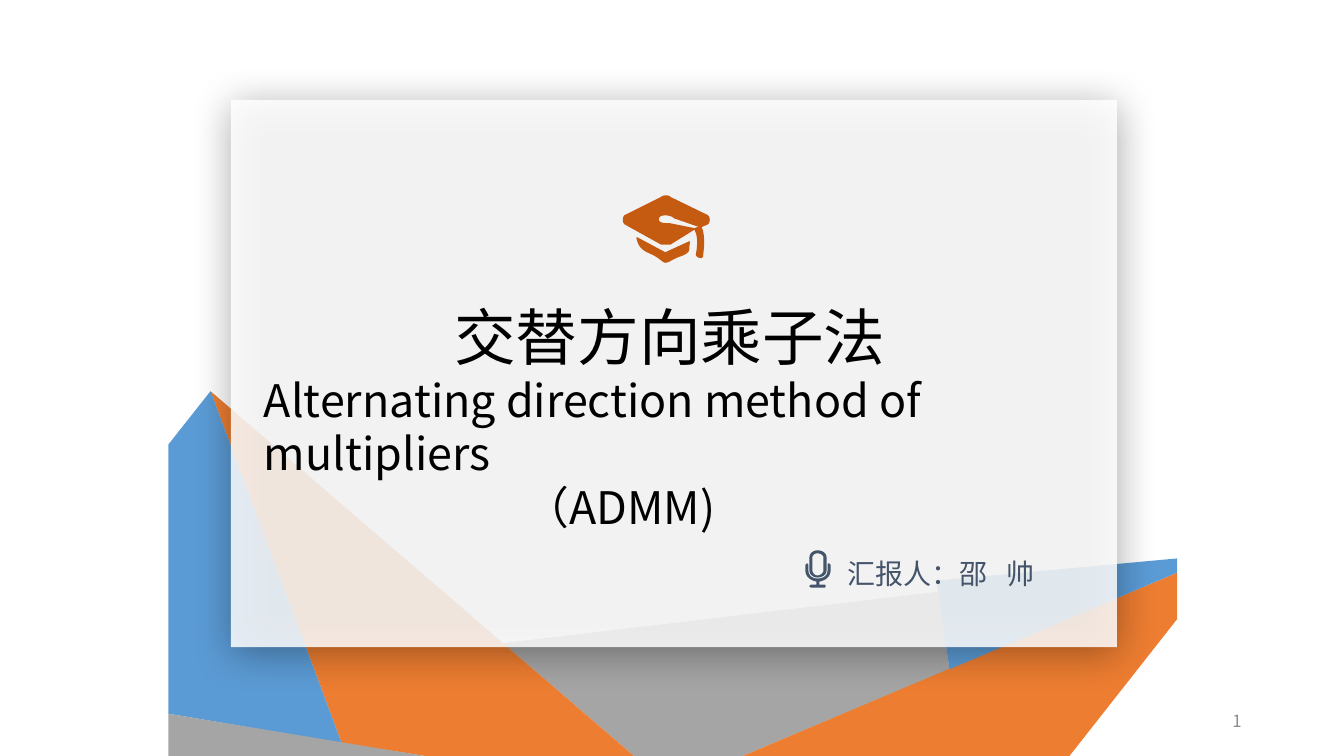
from dataclasses import dataclass

from lxml import etree
from pptx import Presentation
from pptx.dml.color import RGBColor
from pptx.enum.shapes import MSO_SHAPE
from pptx.enum.text import MSO_ANCHOR, PP_ALIGN
from pptx.oxml.ns import qn
from pptx.util import Pt

RECTANGLE = MSO_SHAPE.RECTANGLE
TOP, MIDDLE = MSO_ANCHOR.TOP, MSO_ANCHOR.MIDDLE
LEFT, RIGHT = PP_ALIGN.LEFT, PP_ALIGN.RIGHT


@dataclass(frozen=True)
class Theme:
    blue: str = "5B9BD5"
    orange: str = "ED7D31"
    gray: str = "A5A5A5"
    white: str = "FFFFFF"
    black: str = "000000"
    slate: str = "44546A"
    rust: str = "C55A11"
    muted: str = "8C8C8C"
    font: str = "Noto Sans CJK JP"
    number_font: str = "Noto Sans CJK SC"
    title_size: float = 44
    subtitle_size: float = 32
    presenter_size: float = 20
    number_size: float = 12
    line_height: float = 1.2


@dataclass(frozen=True)
class Box:
    left: float
    top: float
    width: float
    height: float

    def inner(self, left, top, width, height):
        return Box(self.left + left, self.top + top, width, height)

    def lengths(self):
        return Pt(self.left), Pt(self.top), Pt(self.width), Pt(self.height)


THEME = Theme()

CAP_GRID_WIDTH = 86
CAP = [
    [(14, 42), (16, 50, 18, 53, 27, 57), (35, 60, 40, 66, 42, 66),
     (46, 66, 49, 62, 59, 59), (68, 55, 64, 53, 66, 46), (42, 57)],
    [(84, 20), (47, 2), (46, 0, 40, 0, 38, 2), (2, 20), (0, 22, 0, 26, 2, 28),
     (38, 48), (47, 48), (71, 33), (46, 28), (42, 28), (38, 28, 35, 26, 35, 24),
     (35, 20, 38, 19, 42, 19), (46, 19, 49, 20, 51, 22), (77, 31), (84, 28),
     (86, 26, 86, 22, 84, 20)],
    [(73, 59), (73, 60, 79, 64, 79, 59), (82, 37, 77, 31, 77, 31), (71, 33),
     (71, 33, 77, 39, 73, 59)],
]

MICROPHONE_GRID_WIDTH = 25
MICROPHONE_HEAD = [
    [(12, 27), (17, 27, 21, 24, 21, 20), (21, 7), (21, 3, 17, 0, 12, 0),
     (8, 0, 4, 3, 4, 7), (4, 20), (4, 24, 8, 27, 12, 27)],
    [(7, 7), (7, 5, 9, 3, 12, 3), (15, 3, 18, 5, 18, 7), (18, 20),
     (18, 22, 15, 25, 12, 25), (9, 25, 7, 22, 7, 20)],
]
MICROPHONE_STAND = [
    [(23, 13), (22, 13, 22, 14, 22, 15), (22, 20), (22, 25, 18, 28, 12, 28),
     (7, 28, 3, 25, 3, 20), (3, 15), (3, 14, 2, 13, 2, 13), (1, 13, 0, 14, 0, 15),
     (0, 20), (0, 26, 5, 30, 11, 31), (11, 34), (6, 34), (5, 34, 4, 35, 4, 36),
     (4, 36, 5, 37, 6, 37), (19, 37), (20, 37, 20, 36, 20, 36),
     (20, 35, 20, 34, 19, 34), (14, 34), (14, 31), (20, 30, 25, 26, 25, 20),
     (25, 15), (25, 14, 24, 13, 23, 13)],
]


def color(value):
    return RGBColor.from_string(value)


def flatten(contour, steps=8):
    points = []
    for segment in contour:
        if len(segment) == 2:
            points.append(segment)
            continue
        controls = [points[-1], segment[:2], segment[2:4], segment[4:]]
        for step in range(1, steps + 1):
            t = step / steps
            weights = ((1 - t) ** 3, 3 * t * (1 - t) ** 2, 3 * t * t * (1 - t), t ** 3)
            points.append(tuple(
                sum(weight * control[axis] for weight, control in zip(weights, controls))
                for axis in (0, 1)
            ))
    return points


def add_outline(slide, box, contours, fill, unit=1, line_width=None):
    builder = None
    for contour in contours:
        points = [(Pt(x * unit), Pt(y * unit)) for x, y in flatten(contour)]
        if builder is None:
            builder = slide.shapes.build_freeform(*points[0])
        else:
            builder.move_to(*points[0])
        builder.add_line_segments(points[1:], close=True)
    shape = builder.convert_to_shape(Pt(box.left), Pt(box.top))
    shape.shadow.inherit = False
    shape.fill.solid()
    shape.fill.fore_color.rgb = color(fill)
    if line_width:
        shape.line.color.rgb = color(fill)
        shape.line.width = Pt(line_width)
    else:
        shape.line.fill.background()


def add_text(slide, box, lines, text_color, font=THEME.font, align=LEFT, anchor=TOP,
             insets=(7.2, 3.6), line_height=None, tab=None):
    frame = slide.shapes.add_textbox(*box.lengths()).text_frame
    frame.word_wrap = True
    frame.vertical_anchor = anchor
    frame.margin_left = frame.margin_right = Pt(insets[0])
    frame.margin_top = Pt(insets[1])
    frame.margin_bottom = Pt(3.6)
    for index, (text, size, indent) in enumerate(lines):
        paragraph = frame.paragraphs[0] if index == 0 else frame.add_paragraph()
        properties = paragraph._p.get_or_add_pPr()
        if indent:
            properties.set("marL", str(Pt(indent)))
        if tab:
            tabs = etree.SubElement(properties, qn("a:tabLst"))
            etree.SubElement(tabs, qn("a:tab"), pos=str(Pt(tab)), algn="l")
        paragraph.alignment = align
        if line_height:
            paragraph.line_spacing = Pt(size * line_height)
        run = paragraph.add_run()
        run.text = text
        run.font.name = font
        run.font.size = Pt(size)
        run.font.color.rgb = color(text_color)
        etree.SubElement(run._r.get_or_add_rPr(), qn("a:ea"), typeface=font)


def add_facets(slide, box):
    right, bottom = box.width, box.height
    peak, left_foot, left_fold = (30.2, 0), (0, 230.4), (123.8, 251.3)
    left_base, middle_base, valley = (183.6, bottom), (332.6, bottom), (410.4, bottom)
    joint, right_fold = (558, 198.7), (right, 129.6)
    facets = [
        (THEME.gray, [valley, joint, (550.1, 143.3), (239, 180), middle_base]),
        (THEME.orange, [peak, left_fold, left_base, middle_base]),
        (THEME.blue, [peak, (0, 38.2), left_foot, left_fold]),
        (THEME.gray, [left_foot, (0, bottom), left_base]),
        (THEME.orange, [valley, (643.7, bottom), (right, 162.7), right_fold]),
        (THEME.blue, [(548.6, 135.4), joint, right_fold, (right, 119.5)]),
    ]
    for fill, corners in facets:
        add_outline(slide, box, [corners], fill)


def add_panel(slide, box):
    panel = slide.shapes.add_shape(RECTANGLE, *box.lengths())
    panel.shadow.inherit = False
    panel.fill.solid()
    panel.fill.fore_color.rgb = color(THEME.white)
    panel.line.fill.background()
    fill_color = panel._element.spPr.find(qn("a:solidFill"))[0]
    etree.SubElement(fill_color, qn("a:alpha"), val="85000")
    effects = panel._element.spPr.find(qn("a:effectLst"))
    shadow = etree.SubElement(effects, qn("a:outerShdw"), blurRad=str(Pt(29)),
                              dist=str(Pt(5)), dir=str(77 * 60000),
                              algn="ctr", rotWithShape="0")
    shadow_color = etree.SubElement(shadow, qn("a:srgbClr"), val=THEME.black)
    etree.SubElement(shadow_color, qn("a:alpha"), val="40000")


def add_title_card(slide, box):
    add_panel(slide, box)
    title_lines = [
        ("交替方向乘子法", THEME.title_size, 136),
        ("Alternating direction method of multipliers", THEME.subtitle_size, 0),
        ("（ADMM)", THEME.subtitle_size, 186),
    ]
    add_text(slide, box.inner(23.7, 135.4, 609.1, 138.2), title_lines, THEME.black,
             insets=(0, 6.5), line_height=THEME.line_height)
    microphone = box.inner(410.4, 321.8, 18, 26.6)
    for part in (MICROPHONE_HEAD, MICROPHONE_STAND):
        add_outline(slide, microphone, part, THEME.slate,
                    unit=microphone.width / MICROPHONE_GRID_WIDTH)
    add_text(slide, box.inner(433.4, 321.1, 150.5, 31.7),
             [("汇报人：邵\t帅", THEME.presenter_size, 0)], THEME.slate,
             insets=(7.2, 5), line_height=THEME.line_height, tab=113.5)
    cap = box.inner(280.1, 68.4, 61.9, 47.5)
    add_outline(slide, cap, CAP, THEME.rust, unit=cap.width / CAP_GRID_WIDTH, line_width=1)


def add_page_number(slide, box):
    add_text(slide, box, [("1", THEME.number_size, 0)], THEME.muted,
             font=THEME.number_font, align=RIGHT, anchor=MIDDLE)


def main():
    presentation = Presentation()
    presentation.slide_width, presentation.slide_height = Pt(960), Pt(540)
    slide = presentation.slides.add_slide(presentation.slide_layouts[6])
    add_facets(slide, Box(120.2, 279.4, 720.7, 260.6))
    add_title_card(slide, Box(164.9, 71.3, 632.9, 391))
    add_page_number(slide, Box(678, 500.5, 216, 28.8))
    presentation.save("out.pptx")


if __name__ == "__main__":
    main()
